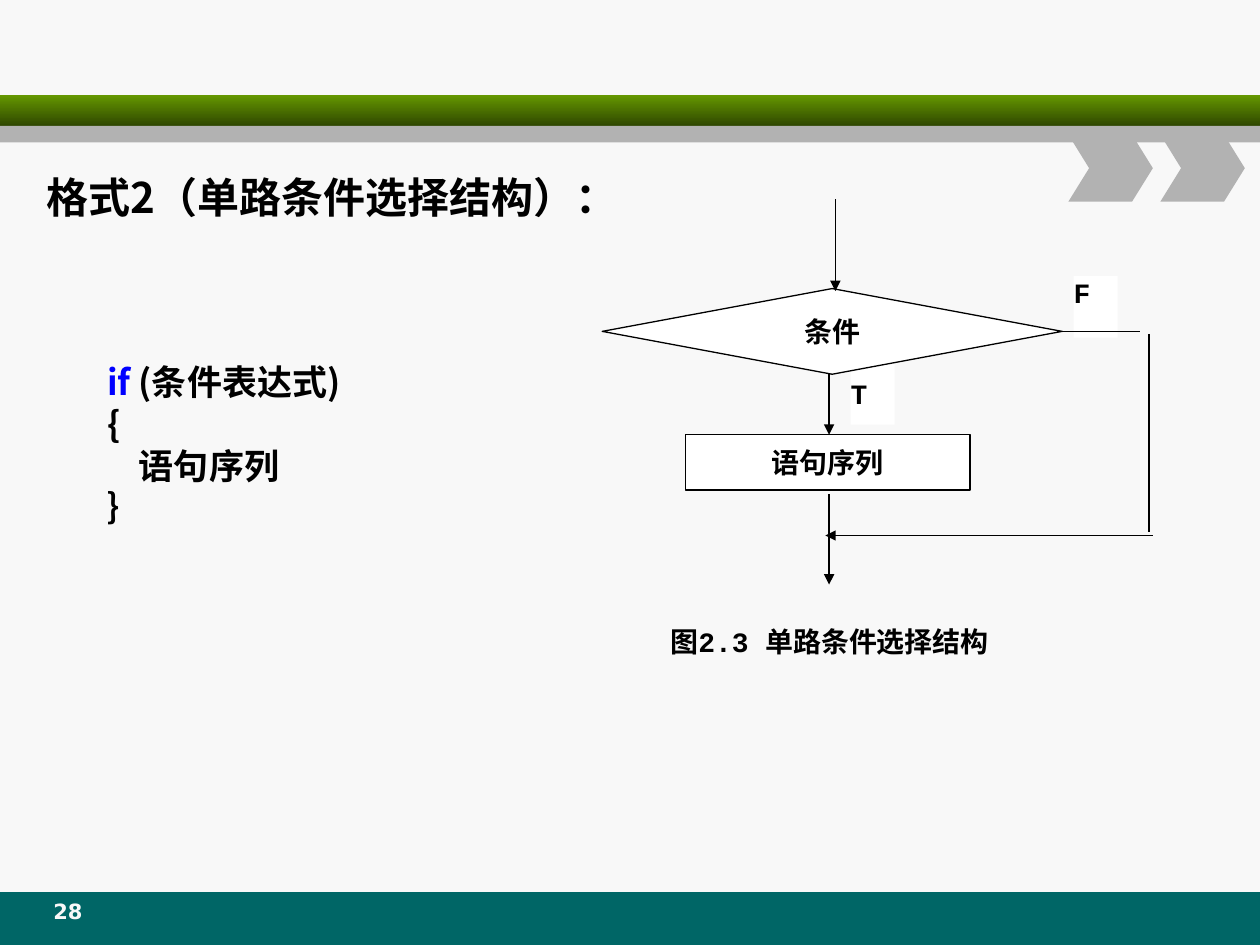
from dataclasses import dataclass

from lxml.etree import SubElement
from pptx import Presentation
from pptx.dml.color import RGBColor
from pptx.enum.shapes import MSO_CONNECTOR as Connector, MSO_SHAPE as Shape
from pptx.enum.text import MSO_ANCHOR as Anchor, MSO_AUTO_SIZE as AutoSize, PP_ALIGN as Align
from pptx.oxml.ns import qn
from pptx.util import Inches, Pt


@dataclass(frozen=True)
class Theme:
    """Colours, fonts and type sizes of the slide."""
    paper: str = "F8F8F8"
    white: str = "FFFFFF"
    ink: str = "000000"
    keyword: str = "0000FF"
    footer: str = "006666"
    grey: str = "B2B2B2"
    green: tuple = ("669900", "2F4700")
    cjk: str = "Noto Sans CJK SC"
    mono: str = "Courier New"
    sans: str = "DejaVu Sans"
    title: int = 24
    code: int = 20
    label: int = 16
    number: int = 12
    line: float = 0.75


THEME = Theme()


def set_attributes(target, values):
    """Set each attribute of a dict on an object."""
    for name, value in values.items():
        setattr(target, name, value)


def add_run(paragraph, text, size, face, color=THEME.ink):
    """Append a bold run with Latin and East Asian typefaces."""
    run = paragraph.add_run()
    run.text = text
    set_attributes(run.font, {"size": Pt(size), "bold": True, "name": face})
    run.font.color.rgb = RGBColor.from_string(color)
    east_asian = SubElement(run.font._element, qn("a:ea"))
    east_asian.set("typeface", THEME.sans if face == THEME.sans else THEME.cjk)


def place(shape, box):
    """Move and size a shape in inches."""
    names = ("left", "top", "width", "height")
    set_attributes(shape, dict(zip(names, map(Inches, box))))


def prepare_frame(shape, anchor=Anchor.TOP, inset=(0, 0)):
    """Set wrapping, anchor and insets, and return the text frame."""
    frame = shape.text_frame
    across, down = map(Inches, inset)
    set_attributes(frame, {
        "word_wrap": True, "auto_size": AutoSize.NONE, "vertical_anchor": anchor,
        "margin_left": across, "margin_right": across,
        "margin_top": down, "margin_bottom": down})
    return frame


def add_block(slide, kind, box, fill=THEME.white, outlined=False):
    """Add a filled preset shape, with a thin outline on request."""
    shape = slide.shapes.add_shape(kind, *map(Inches, box))
    shape.shadow.inherit = False
    shape.fill.solid()
    shape.fill.fore_color.rgb = RGBColor.from_string(fill)
    if outlined:
        shape.line.color.rgb = RGBColor.from_string(THEME.ink)
        shape.line.width = Pt(THEME.line)
    else:
        shape.line.fill.background()
    return shape


def add_label(shape, text, align=Align.CENTER, anchor=Anchor.MIDDLE):
    """Write a flowchart label into a shape."""
    paragraph = prepare_frame(shape, anchor).paragraphs[0]
    paragraph.alignment = align
    add_run(paragraph, text, THEME.label, THEME.mono)


def add_flow_line(slide, start, end, arrow=True):
    """Draw a flow line, with an arrowhead at its end by default."""
    points = map(Inches, (*start, *end))
    connector = slide.shapes.add_connector(Connector.STRAIGHT, *points)
    connector.line.color.rgb = RGBColor.from_string(THEME.ink)
    connector.line.width = Pt(THEME.line)
    if arrow:
        SubElement(connector.line._get_or_add_ln(), qn("a:tailEnd"), type="triangle")
    SubElement(connector._element.spPr, qn("a:effectLst"))


def add_decoration(slide):
    """Add the footer band, header bars, chevrons and page number."""
    add_block(slide, Shape.RECTANGLE, (0, 7.08, 10, 0.42), THEME.footer)
    header = add_block(slide, Shape.RECTANGLE, (0, 0.75, 10, 0.25))
    header.fill.gradient()
    header.fill.gradient_angle = 270
    for position, (stop, color) in enumerate(zip(header.fill.gradient_stops, THEME.green)):
        stop.position = position
        stop.color.rgb = RGBColor.from_string(color)
    add_block(slide, Shape.RECTANGLE, (0, 1, 10, 0.13), THEME.grey)
    for left in (8.48, 9.21):
        chevron = add_block(slide, Shape.CHEVRON, (left, 1.07, 0.67, 0.53), THEME.grey)
        chevron.adjustments[0] = 0.31
    number = slide.shapes.add_textbox(*map(Inches, (0.25, 7.08, 0.58, 0.33)))
    paragraph = prepare_frame(number, inset=(0.1, 0.05)).paragraphs[0]
    paragraph.alignment = Align.CENTER
    add_run(paragraph, "28", THEME.number, THEME.sans, THEME.paper)


def fill_title(title):
    """Place and write the slide title."""
    place(title, (0.27, 1.31, 9.53, 0.5))
    paragraph = prepare_frame(title, inset=(0.1, 0.05)).paragraphs[0]
    paragraph.alignment = Align.JUSTIFY
    add_run(paragraph, "格式2（单路条件选择结构）：", THEME.title, THEME.cjk)


def fill_code(body):
    """Place the body and write the code lines without bullets."""
    place(body, (0.75, 2.81, 7.83, 2.77))
    frame = prepare_frame(body, inset=(0.1, 0.05))
    lines = (
        (("if ", THEME.keyword), ("(条件表达式)", THEME.ink)),
        (("{", THEME.ink),),
        (("    语句序列", THEME.ink),),
        (("｝", THEME.ink),),
    )
    for index, runs in enumerate(lines):
        paragraph = frame.add_paragraph() if index else frame.paragraphs[0]
        paragraph.space_before = Pt(0)
        properties = paragraph._p.get_or_add_pPr()
        set_attributes(paragraph, {"alignment": Align.LEFT})
        properties.set("marL", "0")
        properties.set("indent", "0")
        SubElement(properties, qn("a:buNone"))
        for text, color in runs:
            add_run(paragraph, text, THEME.code, THEME.cjk, color)


def add_flowchart(slide):
    """Draw the single-branch flowchart and its caption."""
    for text, box, anchor in (
            ("F", (8.52, 2.19, 0.35, 0.49), Anchor.TOP),
            ("T", (6.75, 2.88, 0.35, 0.49), Anchor.MIDDLE)):
        add_label(add_block(slide, Shape.RECTANGLE, box), text, Align.JUSTIFY, anchor)
    for text, kind, box in (
            ("条件", Shape.FLOWCHART_DECISION, (4.78, 2.29, 3.65, 0.68)),
            ("语句序列", Shape.RECTANGLE, (5.44, 3.45, 2.26, 0.44))):
        add_label(add_block(slide, kind, box, outlined=True), text)
    for start, end in (
            ((6.63, 1.58), (6.63, 2.31)),
            ((6.58, 2.97), (6.58, 3.45)),
            ((6.58, 3.92), (6.58, 4.64)),
            ((9.15, 4.25), (6.55, 4.25))):
        add_flow_line(slide, start, end)
    for start, end in (((8.39, 2.63), (9.05, 2.63)), ((9.12, 2.65), (9.12, 4.22))):
        add_flow_line(slide, start, end, arrow=False)
    caption = slide.shapes.add_textbox(*map(Inches, (3.67, 4.96, 5.83, 0.49)))
    add_label(caption, "图2.3 单路条件选择结构", anchor=Anchor.TOP)


def main():
    """Build and save the slide."""
    presentation = Presentation()
    set_attributes(presentation, {"slide_width": Inches(10), "slide_height": Inches(7.5)})
    slide = presentation.slides.add_slide(presentation.slide_layouts[1])
    slide.background.fill.solid()
    slide.background.fill.fore_color.rgb = RGBColor.from_string(THEME.paper)
    add_decoration(slide)
    fill_title(slide.shapes.title)
    fill_code(slide.placeholders[1])
    add_flowchart(slide)
    presentation.save("out.pptx")


if __name__ == "__main__":
    main()
